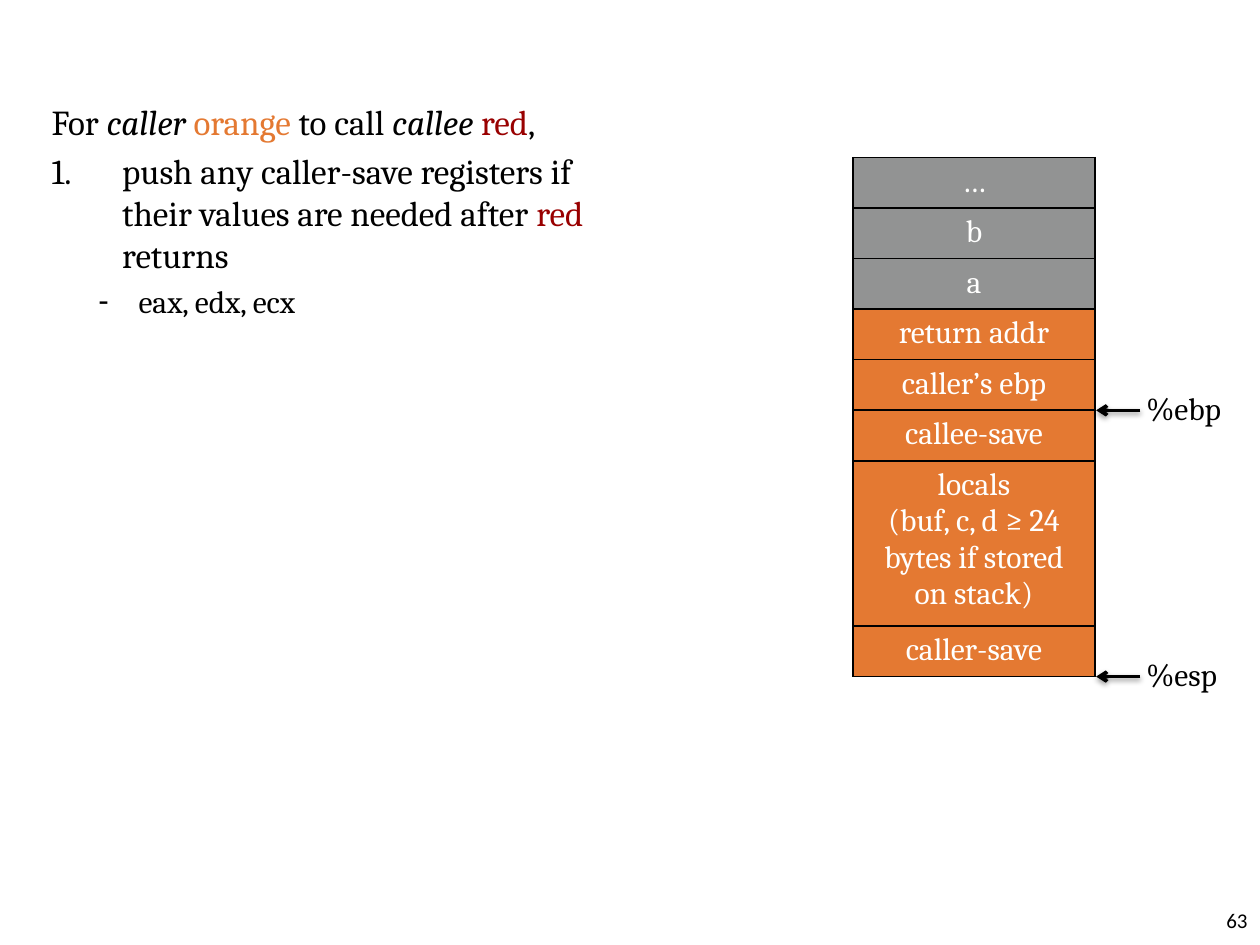
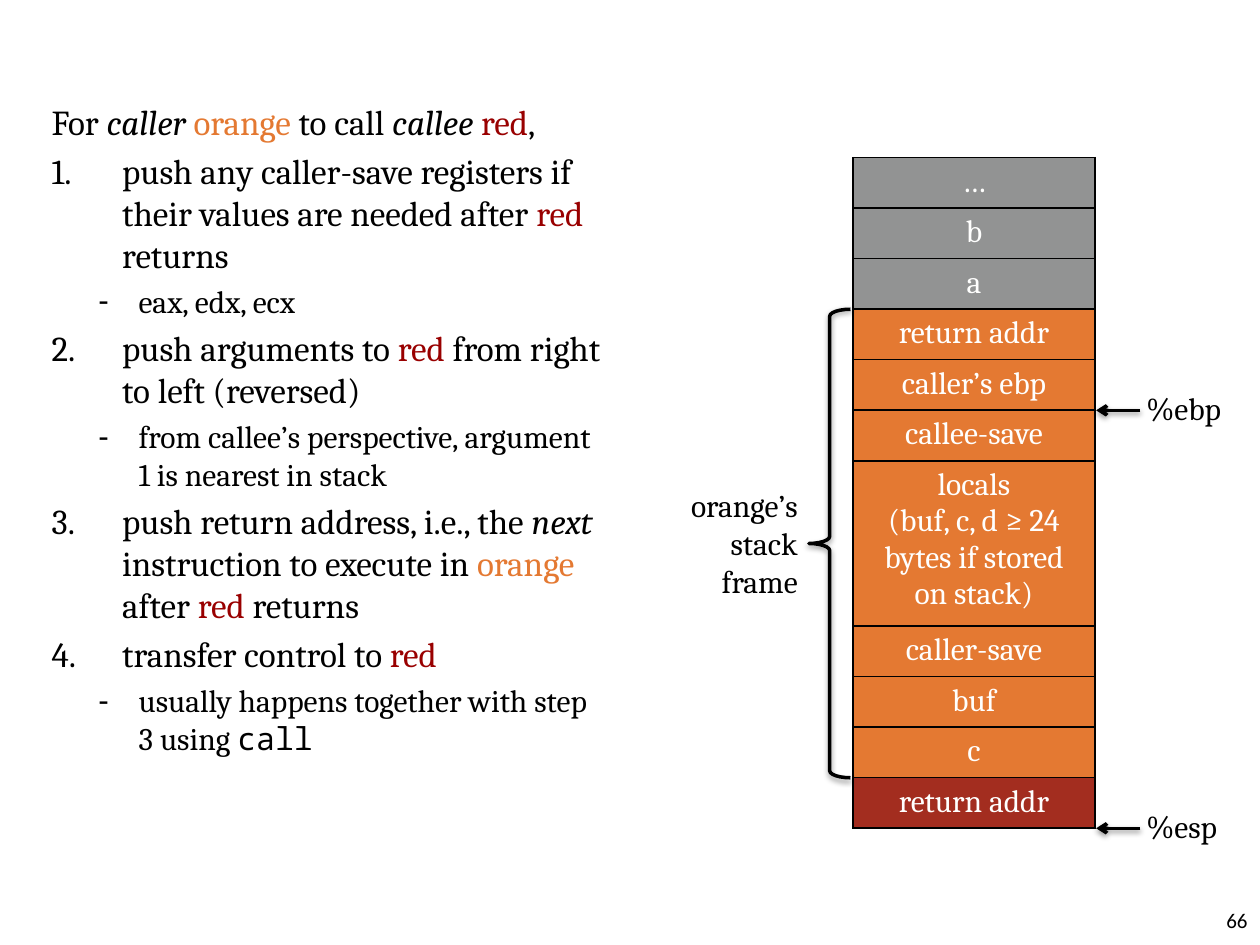
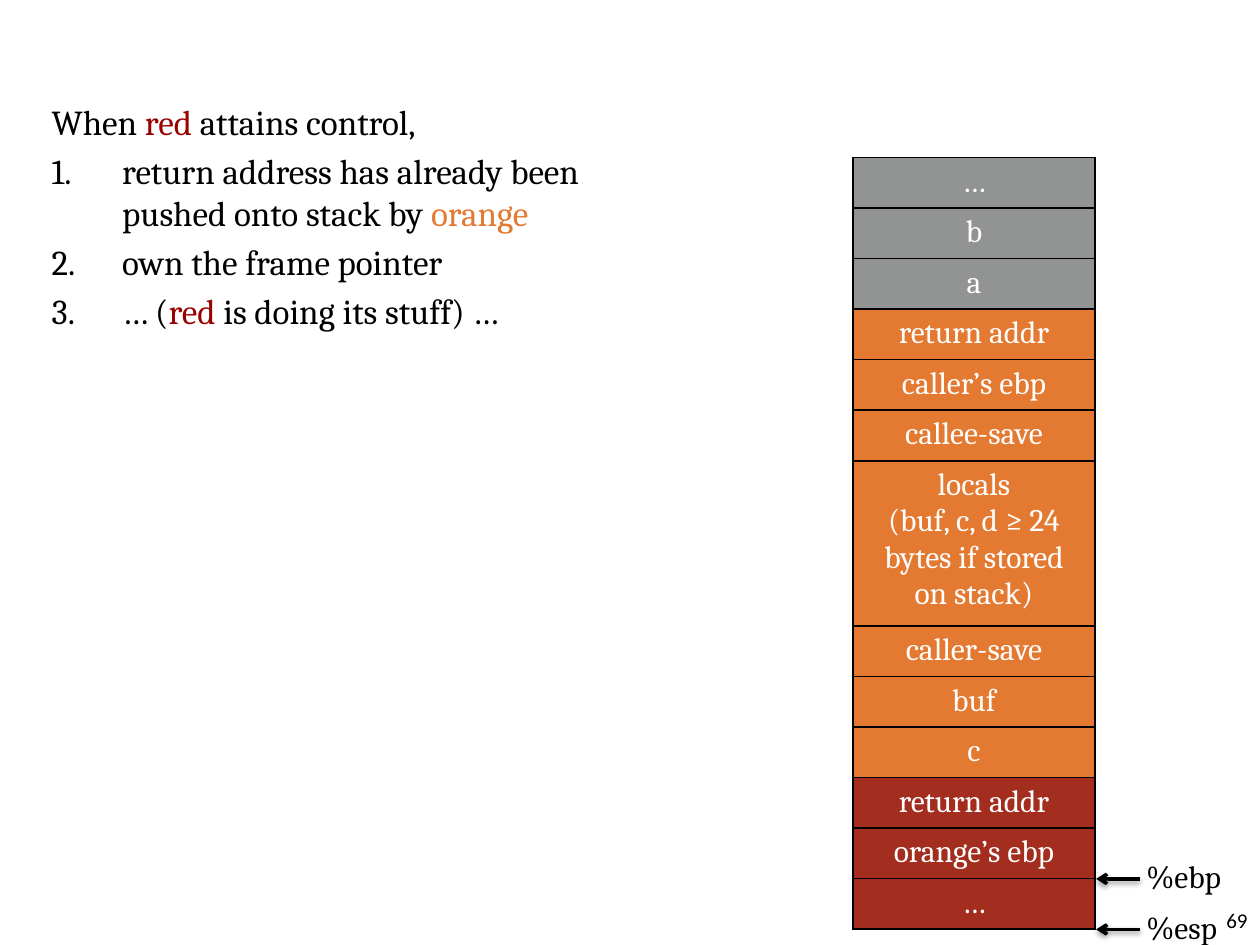
"""Build three slides on the calling convention, each with steps and a stack diagram."""
from lxml.etree import SubElement
from pptx import Presentation
from pptx.dml.color import RGBColor
from pptx.enum.shapes import MSO_CONNECTOR, MSO_SHAPE
from pptx.enum.text import MSO_ANCHOR, MSO_AUTO_SIZE, PP_ALIGN
from pptx.oxml.ns import qn
from pptx.util import Inches, Pt

BLACK = RGBColor(0x00, 0x00, 0x00)
WHITE = RGBColor(0xFF, 0xFF, 0xFE)
GRAY = RGBColor(0x92, 0x93, 0x93)
ORANGE = RGBColor(0xE4, 0x79, 0x32)
RED = RGBColor(0x99, 0x00, 0x00)
BRICK = RGBColor(0xA3, 0x2D, 0x1F)
SERIF, MONO, SANS = "Cambria", "Noto Sans Mono", "Calibri"

SPAN_STYLES = {
    "plain": (BLACK, False, SERIF),
    "italic": (BLACK, True, SERIF),
    "orange": (ORANGE, False, SERIF),
    "red": (RED, False, SERIF),
    "code": (BLACK, False, MONO),
}
STEP_KINDS = {
    "lead": (0, 20, 0.32, -0.32, "buNone", {}),
    "step": (0, 20, 0.56, -0.56, "buAutoNum", {"type": "arabicPeriod"}),
    "detail": (1, 18, 0.69, -0.32, "buChar", {"char": "-"}),
}

CALLER_STEPS = [
    ("lead", [("For ", "plain"), ("caller ", "italic"), ("orange", "orange"),
              (" to call ", "plain"), ("callee ", "italic"), ("red", "red"), (",", "plain")]),
    ("step", [("push any caller-save registers if their values are needed after ", "plain"),
              ("red", "red"), (" returns", "plain")]),
    ("detail", [("eax, edx, ecx", "plain")]),
    ("step", [("push arguments to ", "plain"), ("red ", "red"),
              ("from right to left (reversed)", "plain")]),
    ("detail", [("from callee’s perspective, argument 1 is nearest in stack", "plain")]),
    ("step", [("push return address, i.e., the ", "plain"), ("next", "italic"),
              (" instruction to execute in ", "plain"), ("orange", "orange"),
              (" after ", "plain"), ("red ", "red"), ("returns", "plain")]),
    ("step", [("transfer control to ", "plain"), ("red", "red")]),
    ("detail", [("usually happens together with step 3 using ", "plain"), ("call", "code")]),
]
CALLEE_STEPS = [
    ("lead", [("When ", "plain"), ("red ", "red"), ("attains control,", "plain")]),
    ("step", [("return address has already been pushed onto stack by ", "plain"),
              ("orange", "orange")]),
    ("step", [("own the frame pointer", "plain")]),
    ("step", [("… (", "plain"), ("red ", "red"), ("is doing its stuff) …", "plain")]),
]
STACK = [
    ("…", GRAY), ("b", GRAY), ("a", GRAY),
    ("return addr", ORANGE), ("caller’s ebp", ORANGE), ("callee-save", ORANGE),
    ("locals\n(buf, c, d ≥ 24 bytes if stored on stack)", ORANGE),
    ("caller-save", ORANGE), ("buf", ORANGE), ("c", ORANGE),
    ("return addr", BRICK), ("orange’s ebp", BRICK), ("…", BRICK),
]
ORANGE_FRAME = (3, 10)
SLIDES = [
    {"number": 63, "steps": CALLER_STEPS[:3], "depth": 8, "ebp": 5, "frame": None},
    {"number": 66, "steps": CALLER_STEPS, "depth": 11, "ebp": 5, "frame": ORANGE_FRAME},
    {"number": 69, "steps": CALLEE_STEPS, "depth": 13, "ebp": 12, "frame": None},
]

STACK_LEFT, STACK_TOP, STACK_WIDTH = Inches(6.77), Inches(1.25), Inches(1.92)
ROW_HEIGHT, LOCALS_HEIGHT = Pt(28.9), Inches(1.31)
ROW_HEIGHTS = [LOCALS_HEIGHT if "\n" in name else ROW_HEIGHT for name, _ in STACK]


def row_edge(row):
    return STACK_TOP + sum(ROW_HEIGHTS[:row])


def style_span(span, size, color=BLACK, font=SERIF, italic=False):
    span.font.size = Pt(size)
    span.font.name = font
    span.font.color.rgb = color
    span.font.italic = italic


def add_label(page, text, left, top, width, height, size=18, font=SERIF, align=PP_ALIGN.LEFT):
    box = page.shapes.add_textbox(left, top, width, height)
    box.text_frame.word_wrap = False
    para = box.text_frame.paragraphs[0]
    para.text = text
    para.alignment = align
    for span in para.runs:
        style_span(span, size, font=font)
    return box


def add_steps(page, steps):
    body = page.placeholders[1]
    body.left, body.top = Inches(0.31), Inches(0.75)
    body.width, body.height = Inches(4.59), Inches(6.37)
    frame = body.text_frame
    frame.auto_size = MSO_AUTO_SIZE.NONE
    for index, (kind, parts) in enumerate(steps):
        para = frame.add_paragraph() if index else frame.paragraphs[0]
        level, size, margin, indent, bullet, attributes = STEP_KINDS[kind]
        para.level = level
        properties = para._p.get_or_add_pPr()
        properties.set("marL", str(Inches(margin)))
        properties.set("indent", str(Inches(indent)))
        SubElement(properties, qn("a:" + bullet), attributes)
        for text, style in parts:
            span = para.add_run()
            span.text = text
            color, italic, font = SPAN_STYLES[style]
            style_span(span, size, color, font, italic)


def add_borders(cell):
    properties = cell._tc.get_or_add_tcPr()
    for side in ("lnL", "lnR", "lnT", "lnB"):
        line = SubElement(properties, qn("a:" + side), w=str(Pt(1)))
        fill = SubElement(line, qn("a:solidFill"))
        SubElement(fill, qn("a:srgbClr"), val=str(BLACK))


def add_stack(page, depth):
    height = row_edge(depth) - STACK_TOP
    table = page.shapes.add_table(depth, 1, STACK_LEFT, STACK_TOP, STACK_WIDTH, height).table
    table.first_row = table.horz_banding = False
    for row, (name, color) in enumerate(STACK[:depth]):
        table.rows[row].height = ROW_HEIGHTS[row]
        cell = table.cell(row, 0)
        add_borders(cell)
        cell.fill.solid()
        cell.fill.fore_color.rgb = color
        cell.text_frame.text = name
        for para in cell.text_frame.paragraphs:
            para.alignment = PP_ALIGN.CENTER
            style_span(para.runs[0], 18, WHITE)


def style_stroke(shape):
    shape.line.color.rgb = BLACK
    shape.line.width = Pt(2)
    effects = SubElement(shape._element.spPr, qn("a:effectLst"))
    shadow = SubElement(effects, qn("a:outerShdw"), blurRad=str(Pt(3.1)), dist=str(Pt(1.6)),
                        dir="5400000", rotWithShape="0")
    color = SubElement(shadow, qn("a:srgbClr"), val=str(BLACK))
    SubElement(color, qn("a:alpha"), val="38000")


def add_pointer(page, name, row):
    edge = row_edge(row)
    add_label(page, name, Inches(9), edge - Inches(0.22), Inches(0.83), Inches(0.4))
    arrow = page.shapes.add_connector(MSO_CONNECTOR.STRAIGHT, Inches(9.05), edge,
                                      Inches(8.7), edge)
    style_stroke(arrow)
    SubElement(arrow.line._get_or_add_ln(), qn("a:tailEnd"), type="arrow")


def add_frame_brace(page, first, last):
    top, bottom = row_edge(first), row_edge(last)
    brace = page.shapes.add_shape(MSO_SHAPE.LEFT_BRACE, Inches(6.42), top,
                                  Inches(0.33), bottom - top)
    brace.adjustments[0] = 0.17
    brace.fill.background()
    style_stroke(brace)
    height = Inches(1.01)
    add_label(page, "orange’s\vstack\vframe", Inches(5.31), (top + bottom - height) // 2,
              Inches(1.12), height, align=PP_ALIGN.RIGHT)


def add_page_number(page, number):
    box = add_label(page, str(number), Inches(9.33), Inches(7.1), Inches(0.67), Inches(0.4),
                    size=12, font=SANS, align=PP_ALIGN.RIGHT)
    box.text_frame.word_wrap = True
    box.text_frame.vertical_anchor = MSO_ANCHOR.MIDDLE


deck = Presentation()
deck.slide_width, deck.slide_height = Inches(10), Inches(7.5)
for content in SLIDES:
    page = deck.slides.add_slide(deck.slide_layouts[1])
    title = page.shapes.title._element
    title.getparent().remove(title)
    add_steps(page, content["steps"])
    add_page_number(page, content["number"])
    add_stack(page, content["depth"])
    add_pointer(page, "%ebp", content["ebp"])
    if content["frame"]:
        add_frame_brace(page, *content["frame"])
    add_pointer(page, "%esp", content["depth"])
deck.save("out.pptx")
